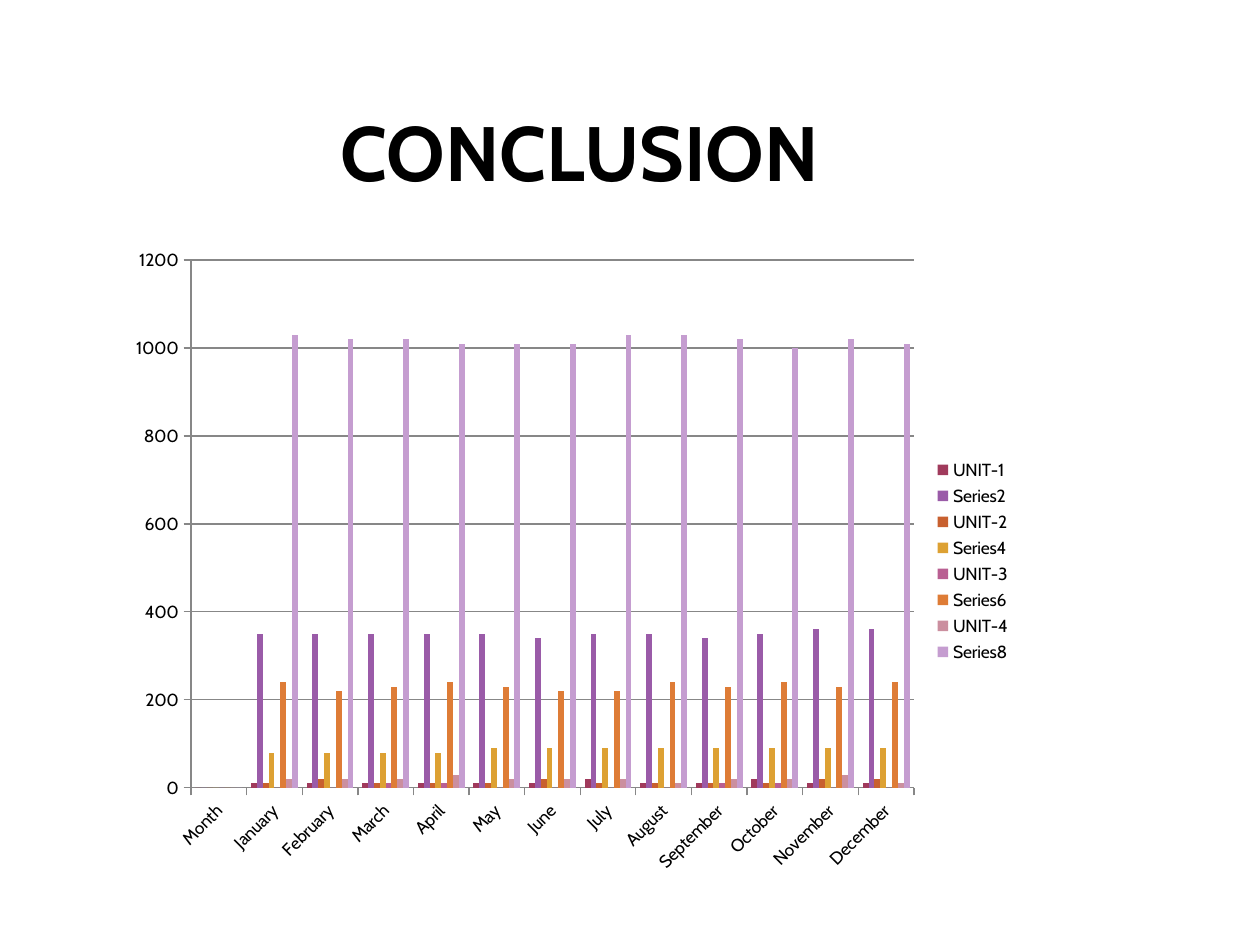
from lxml.etree import SubElement
from pptx import Presentation
from pptx.chart.data import CategoryChartData
from pptx.dml.color import RGBColor
from pptx.enum.chart import XL_CHART_TYPE as Kind
from pptx.enum.chart import XL_LEGEND_POSITION as Side
from pptx.enum.chart import XL_TICK_MARK as Tick
from pptx.enum.text import MSO_ANCHOR as Anchor
from pptx.enum.text import PP_ALIGN as Align
from pptx.oxml.ns import qn
from pptx.util import Inches, Pt

TITLE = "CONCLUSION"
MONTHS = ["Month", "January", "February", "March", "April", "May", "June",
          "July", "August", "September", "October", "November", "December"]
SERIES = [
    ("UNIT-1", "A03A5C", [0, 10, 10, 10, 10, 10, 10, 20, 10, 10, 20, 10, 10]),
    ("Series2", "9A5BA8", [0, 350, 350, 350, 350, 350, 340, 350, 350, 340, 350, 360, 360]),
    ("UNIT-2", "C8602F", [0, 10, 20, 10, 10, 10, 20, 10, 10, 10, 10, 20, 20]),
    ("Series4", "DDA133", [0, 80, 80, 80, 80, 90, 90, 90, 90, 90, 90, 90, 90]),
    ("UNIT-3", "B95F92", [0, 0, 0, 10, 10, 0, 0, 0, 0, 10, 10, 0, 0]),
    ("Series6", "DE7C36", [0, 240, 220, 230, 240, 230, 220, 220, 240, 230, 240, 230, 240]),
    ("UNIT-4", "CB8F9F", [0, 20, 20, 20, 30, 20, 20, 20, 10, 20, 20, 30, 10]),
    ("Series8", "C59DD0", [0, 1030, 1020, 1020, 1010, 1010, 1010, 1030, 1030, 1020, 1000, 1020, 1010]),
]
THEME = {"font": "Cabin", "ink": "000000", "rule": "878787",
         "title": 44, "label": 10, "line": 0.75}
PAGE = (1260, 945)
HEAD = (88, 98, 984, 106)
FRAME = (118, 236, 906, 650)
PLOT = (191, 260, 723, 528)


def px(n):
    return round(n * Inches(1) / 126)


def rgb(name):
    return RGBColor.from_string(THEME.get(name, name))


def style(font, size):
    font.name = THEME["font"]
    font.size = Pt(THEME[size])
    font.color.rgb = rgb("ink")


def rule(line):
    line.color.rgb = rgb("rule")
    line.width = Pt(THEME["line"])


def pin(chart):
    """Fix the inner plot area at PLOT within FRAME."""
    area = chart._chartSpace.chart.plotArea
    for old in area.findall(qn("c:layout")):
        area.remove(old)
    box = SubElement(area, qn("c:layout"))
    area.insert(0, box)
    spot = SubElement(box, qn("c:manualLayout"))
    x, y, w, h = FRAME
    left, top, wide, high = PLOT
    parts = [("layoutTarget", "inner"), ("xMode", "edge"), ("yMode", "edge"),
             ("x", (left - x) / w), ("y", (top - y) / h),
             ("w", wide / w), ("h", high / h)]
    for tag, val in parts:
        SubElement(spot, qn("c:" + tag)).set("val", str(val))


def add_title(slide):
    shape = slide.shapes.title
    shape.left, shape.top, shape.width, shape.height = map(px, HEAD)
    frame = shape.text_frame
    frame.word_wrap = True
    frame.vertical_anchor = Anchor.MIDDLE
    para = frame.paragraphs[0]
    para.alignment = Align.CENTER
    run = para.add_run()
    run.text = TITLE
    style(run.font, "title")
    run.font.bold = True


def add_bars(slide):
    data = CategoryChartData()
    data.categories = MONTHS
    for name, _, vals in SERIES:
        data.add_series(name, vals)
    chart = slide.shapes.add_chart(
        Kind.COLUMN_CLUSTERED, *map(px, FRAME), data).chart
    style(chart.font, "label")
    chart.has_title = False
    chart.has_legend = True
    chart.legend.position = Side.RIGHT
    chart.legend.include_in_layout = False

    plot = chart.plots[0]
    plot.vary_by_categories = False
    plot.gap_width = 150
    plot.overlap = 0
    for bar, (_, color, _) in zip(plot.series, SERIES):
        bar.format.fill.solid()
        bar.format.fill.fore_color.rgb = rgb(color)

    months, scale = chart.category_axis, chart.value_axis
    for axis in (months, scale):
        axis.major_tick_mark = Tick.OUTSIDE
        rule(axis.format.line)
        style(axis.tick_labels.font, "label")
    months._element.txPr.bodyPr.set("rot", str(-45 * 60000))
    scale.minimum_scale, scale.maximum_scale, scale.major_unit = 0, 1200, 200
    scale.has_major_gridlines = True
    rule(scale.major_gridlines.format.line)
    pin(chart)


def main():
    deck = Presentation()
    deck.slide_width, deck.slide_height = map(px, PAGE)
    slide = deck.slides.add_slide(deck.slide_layouts[5])
    add_title(slide)
    add_bars(slide)
    deck.save("out.pptx")


if __name__ == "__main__":
    main()
